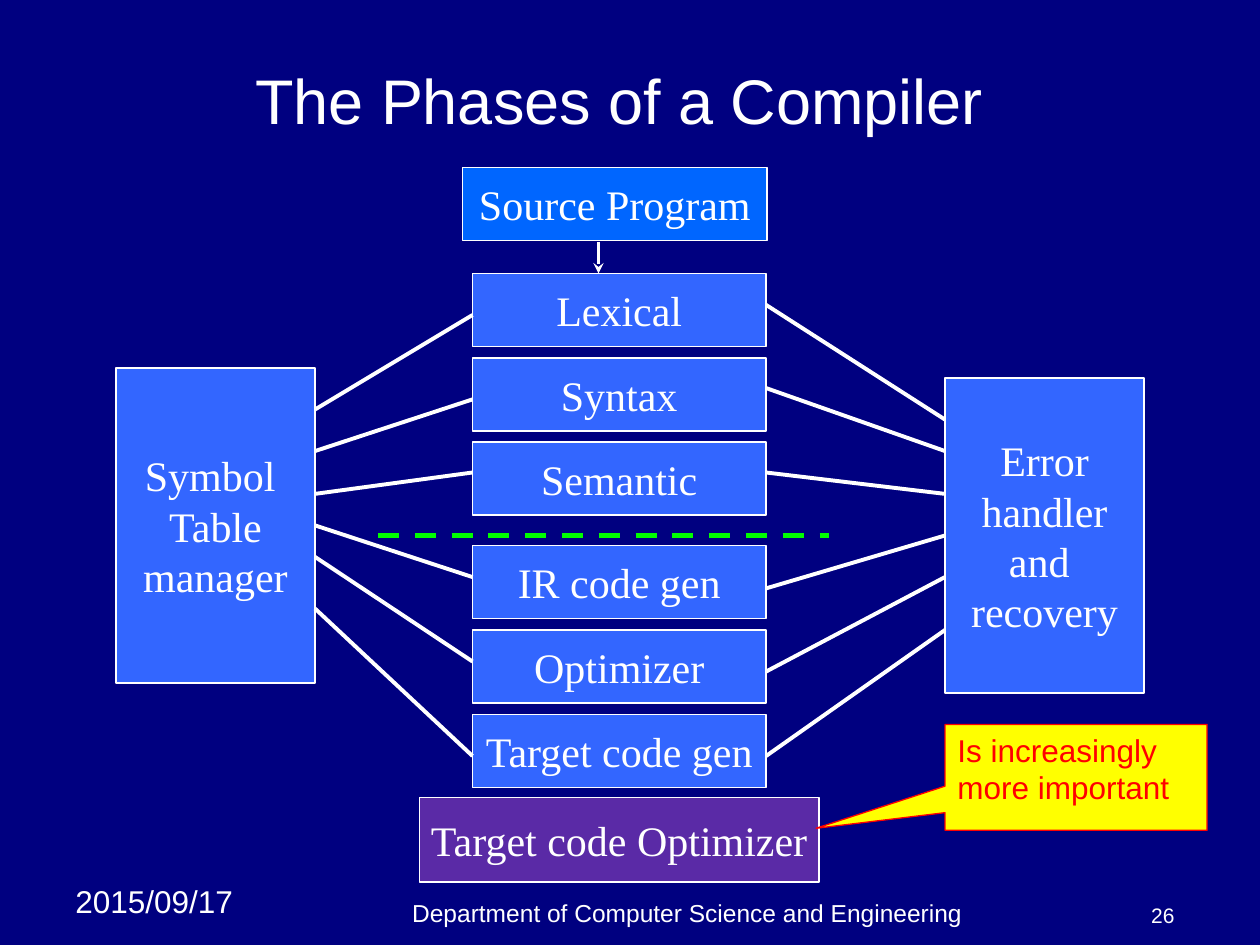
from dataclasses import dataclass

import pptx
import pptx.dml.color
import pptx.enum.dml
import pptx.enum.shapes
import pptx.enum.text
import pptx.oxml.xmlchemy
import pptx.util

Inches = pptx.util.Inches
Pt = pptx.util.Pt
RGBColor = pptx.dml.color.RGBColor
Align = pptx.enum.text.PP_ALIGN
Anchor = pptx.enum.text.MSO_ANCHOR
Shape = pptx.enum.shapes.MSO_SHAPE
OxmlElement = pptx.oxml.xmlchemy.OxmlElement

NAVY = RGBColor(0x00, 0x00, 0x80)
WHITE = RGBColor(0xFF, 0xFF, 0xFF)
BLUE = RGBColor(0x33, 0x66, 0xFF)
BRIGHT_BLUE = RGBColor(0x00, 0x66, 0xFF)
PURPLE = RGBColor(0x5A, 0x2A, 0xA6)
GREEN = RGBColor(0x00, 0xFF, 0x00)
YELLOW = RGBColor(0xFF, 0xFF, 0x00)
RED = RGBColor(0xFF, 0x00, 0x00)

SANS, SERIF = "Arial", "Times New Roman"
PHASE_LEFT, PHASE_RIGHT = 3.75, 6.08
SYMBOL_RIGHT, ERROR_LEFT = 2.5, 7.5


@dataclass
class Box:
    lines: list[str]
    left: float
    top: float
    width: float
    height: float
    fill: RGBColor = BLUE


@dataclass
class Label:
    text: str
    left: float
    top: float
    width: float
    height: float
    size: float
    align: Align
    anchor: Anchor


def set_values(target, values: dict) -> None:
    for name, value in values.items():
        setattr(target, name, value)


def write(frame, lines: list[str], font: str, size: float, color: RGBColor,
          align: Align, anchor: Anchor, wrap: bool) -> None:
    set_values(frame, {"word_wrap": wrap, "vertical_anchor": anchor})
    for index, line in enumerate(lines):
        paragraph = frame.paragraphs[0] if index == 0 else frame.add_paragraph()
        paragraph.alignment = align
        run = paragraph.add_run()
        run.text = line
        set_values(run.font, {"name": font, "size": Pt(size)})
        run.font.color.rgb = color


def paint(shape, fill: RGBColor, line: RGBColor, line_width: float) -> None:
    shape.shadow.inherit = False
    shape.fill.solid()
    shape.fill.fore_color.rgb = fill
    shape.line.color.rgb = line
    shape.line.width = Pt(line_width)


def add_box(slide, box: Box) -> None:
    shape = slide.shapes.add_shape(
        Shape.RECTANGLE, Inches(box.left), Inches(box.top), Inches(box.width), Inches(box.height))
    paint(shape, box.fill, WHITE, 1)
    write(shape.text_frame, box.lines, SERIF, 24, WHITE, Align.CENTER, Anchor.MIDDLE, False)


def add_label(slide, label: Label) -> None:
    textbox = slide.shapes.add_textbox(
        Inches(label.left), Inches(label.top), Inches(label.width), Inches(label.height))
    write(textbox.text_frame, [label.text], SANS, label.size, WHITE,
          label.align, label.anchor, True)


def add_line(slide, start: tuple[float, float], end: tuple[float, float],
             width: float = 2.25, color: RGBColor = WHITE):
    line = slide.shapes.add_connector(
        pptx.enum.shapes.MSO_CONNECTOR.STRAIGHT, *map(Inches, start + end))
    line.line.color.rgb = color
    line.line.width = Pt(width)
    line._element.spPr.append(OxmlElement("a:effectLst"))
    return line


def main() -> None:
    deck = pptx.Presentation()
    set_values(deck, {"slide_width": Inches(10), "slide_height": Inches(7.5)})
    slide = deck.slides.add_slide(deck.slide_layouts[5])
    slide.background.fill.solid()
    slide.background.fill.fore_color.rgb = NAVY

    # Title, whose closing space is set larger
    title = slide.shapes.title
    set_values(title, {"left": Inches(0.75), "top": Inches(0.33),
                       "width": Inches(8.5), "height": Inches(0.83)})
    write(title.text_frame, ["The Phases of a Compiler"], SANS, 36, WHITE,
          Align.CENTER, Anchor.MIDDLE, True)
    closing_space = title.text_frame.paragraphs[0].add_run()
    closing_space.text = " "
    set_values(closing_space.font, {"name": SANS, "size": Pt(44)})

    # Date, department and page number
    for label in (
        Label("2015/09/17", 0.5, 6.95, 1.58, 0.4, 18, Align.LEFT, Anchor.TOP),
        Label("Department of Computer Science and Engineering",
              2.08, 7.08, 6.75, 0.33, 14, Align.CENTER, Anchor.BOTTOM),
        Label("26", 8.75, 7.08, 0.67, 0.33, 12, Align.RIGHT, Anchor.BOTTOM),
    ):
        add_label(slide, label)

    # Front-end and back-end phases, three evenly stacked boxes each
    stacks = {2.17: ["Lexical", "Syntax", "Semantic"],
              4.33: ["IR code gen", "Optimizer", "Target code gen"]}
    for stack_top, phases in stacks.items():
        for row, phase in enumerate(phases):
            add_box(slide, Box([phase], PHASE_LEFT, stack_top + row * 0.67, 2.33, 0.58))

    # Input, final optimizer and the two side components
    for box in (
        Box(["Source Program"], 3.67, 1.33, 2.42, 0.58, BRIGHT_BLUE),
        Box(["Symbol ", "Table", "manager"], 0.92, 2.92, 1.58, 2.5),
        Box(["Error", "handler", "and ", "recovery"], ERROR_LEFT, 3, 1.58, 2.5),
        Box(["Target code Optimizer"], 3.33, 6.33, 3.17, 0.67, PURPLE),
    ):
        add_box(slide, box)

    # Divider between front end and back end
    divider = add_line(slide, (3, 4.25), (6.58, 4.25), 3, GREEN)
    divider.line.dash_style = pptx.enum.dml.MSO_LINE.DASH

    # Links from the symbol table to the phases, then from the phases to the error handler
    symbol_links = [(3.25, 2.5), (3.58, 3.17), (3.92, 3.75),
                    (4.17, 4.58), (4.42, 5.25), (4.83, 6)]
    error_links = [(2.42, 3.33), (3.08, 3.58), (3.75, 3.92),
                   (4.67, 4.25), (5.33, 4.58), (6, 5)]
    for left, right, links in ((SYMBOL_RIGHT, PHASE_LEFT, symbol_links),
                               (PHASE_RIGHT, ERROR_LEFT, error_links)):
        for left_y, right_y in links:
            add_line(slide, (left, left_y), (right, right_y))

    # Arrow from the source program to the first phase
    arrow = add_line(slide, (4.75, 1.92), (4.75, 2.17), 2)
    arrowhead = OxmlElement("a:tailEnd")
    arrowhead.set("type", "stealth")
    arrow.get_or_add_ln().append(arrowhead)

    # Callout on the final optimizer
    callout = slide.shapes.add_shape(
        Shape.RECTANGULAR_CALLOUT, Inches(7.5), Inches(5.75), Inches(2.08), Inches(0.84))
    callout.adjustments[0], callout.adjustments[1] = -0.992, 0.481
    paint(callout, YELLOW, RED, 0.75)
    write(callout.text_frame, ["Is increasingly more important"], SANS, 18, RED,
          Align.LEFT, Anchor.TOP, True)

    deck.save("out.pptx")


if __name__ == "__main__":
    main()
